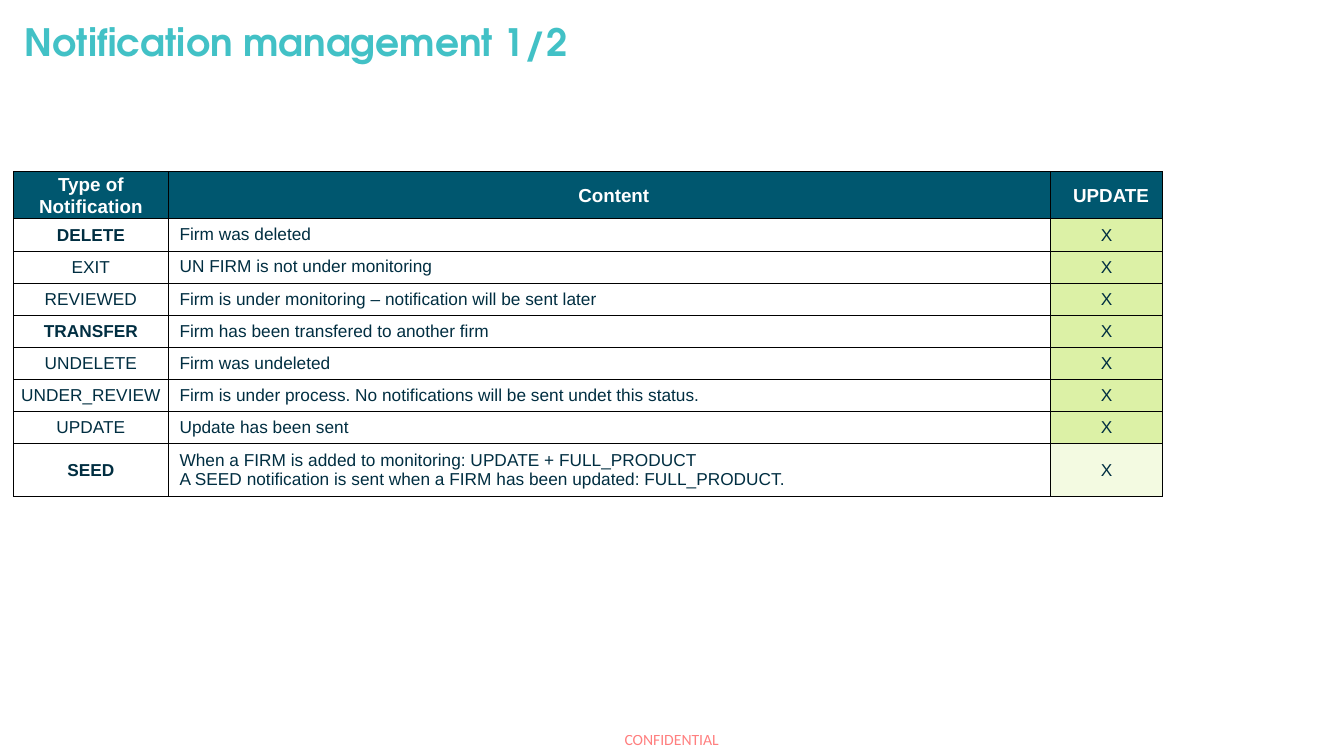
from dataclasses import dataclass

from lxml.etree import SubElement
from pptx import Presentation
from pptx.dml.color import RGBColor
from pptx.enum.text import MSO_ANCHOR, MSO_AUTO_SIZE, PP_ALIGN
from pptx.oxml import parse_xml
from pptx.oxml.ns import nsdecls, qn
from pptx.slide import Slide
from pptx.table import _Cell
from pptx.text.text import TextFrame, _Paragraph
from pptx.util import Emu, Pt

SCALE = 3048


@dataclass(frozen=True)
class Face:
    font: str
    size: int
    color: str
    bold: bool = False


@dataclass(frozen=True)
class Theme:
    title: Face = Face("TeX Gyre Adventor", 24, "42C1C6", True)
    head: Face = Face("Arial", 12, "FFFFFF", True)
    body: Face = Face("Arial", 11, "002E41")
    strong: Face = Face("Arial", 11, "002E41", True)
    footer: Face = Face("Calibri", 10, "FF0000")
    teal: str = "00576F"
    white: str = "FFFFFF"
    green: str = "DCF1A6"
    pale: str = "F3FAE1"
    border: str = "000000"


@dataclass(frozen=True)
class Notice:
    kind: str
    lines: tuple[str, ...]
    strong: bool = False
    mark: str = Theme.green
    height: int = 85


@dataclass(frozen=True)
class Pad:
    left: int
    right: int
    top: int
    bottom: int


THEME = Theme()
WIDTHS = (411, 2343, 299)
HEADS = ("Type of Notification", "Content", "UPDATE")
HEAD_HEIGHT = 125
TIGHT = Pad(3, 3, 3, 0)
INDENT = Pad(27, 3, 3, 0)
ROOMY = Pad(30, 30, 15, 15)
NOTICES = (
    Notice("DELETE", ("Firm was deleted",), True),
    Notice("EXIT", ("UN FIRM is not under monitoring",)),
    Notice("REVIEWED", ("Firm is under monitoring – notification will be sent later",)),
    Notice("TRANSFER", ("Firm has been transfered to another firm",), True),
    Notice("UNDELETE", ("Firm was undeleted",)),
    Notice(
        "UNDER_REVIEW",
        ("Firm is under process. No notifications will be sent undet this status.",),
    ),
    Notice("UPDATE", ("Update has been sent",)),
    Notice(
        "SEED",
        (
            "When a FIRM is added to monitoring: UPDATE + FULL_PRODUCT",
            "A SEED notification is sent when a FIRM has been updated: FULL_PRODUCT.",
        ),
        True,
        THEME.pale,
        141,
    ),
)


def px(count: int) -> Emu:
    return Emu(count * SCALE)


def add_text(para: _Paragraph, text: str, face: Face) -> None:
    run = para.add_run()
    run.text = text
    run.font.name = face.font
    run.font.size = Pt(face.size)
    run.font.bold = face.bold
    run.font.color.rgb = RGBColor.from_string(face.color)


def set_pad(frame: TextFrame | _Cell, pad: Pad) -> None:
    frame.margin_left, frame.margin_right = px(pad.left), px(pad.right)
    frame.margin_top, frame.margin_bottom = px(pad.top), px(pad.bottom)


def add_border(cell: _Cell) -> None:
    props = cell._tc.get_or_add_tcPr()
    for spot, side in enumerate("LRTB"):
        line = parse_xml(
            f'<a:ln{side} {nsdecls("a")} w="{Pt(0.5)}"><a:solidFill>'
            f'<a:srgbClr val="{THEME.border}"/></a:solidFill></a:ln{side}>'
        )
        props.insert(spot, line)


def fill_cell(
    cell: _Cell,
    lines: tuple[str, ...],
    face: Face,
    color: str,
    pad: Pad,
    align: PP_ALIGN = PP_ALIGN.CENTER,
) -> None:
    cell.fill.solid()
    cell.fill.fore_color.rgb = RGBColor.from_string(color)
    cell.vertical_anchor = MSO_ANCHOR.MIDDLE
    set_pad(cell, pad)
    frame = cell.text_frame
    for spot, text in enumerate(lines):
        para = frame.add_paragraph() if spot else frame.paragraphs[0]
        para.alignment = align
        add_text(para, text, face)
    add_border(cell)


def add_title(slide: Slide) -> None:
    title = slide.shapes.title
    title.left, title.top, title.width, title.height = map(px, (36, 34, 3534, 180))
    frame = title.text_frame
    frame.auto_size = MSO_AUTO_SIZE.NONE
    frame.word_wrap = True
    frame.vertical_anchor = MSO_ANCHOR.TOP
    set_pad(frame, Pad(30, 30, 30, 30))
    para = frame.paragraphs[0]
    para.alignment = PP_ALIGN.LEFT
    para.line_spacing = 0.9
    add_text(para, "Notification management 1/2", THEME.title)


def add_grid(slide: Slide) -> None:
    heights = (HEAD_HEIGHT, *(note.height for note in NOTICES))
    table = slide.shapes.add_table(
        len(heights), len(WIDTHS), px(36), px(456), px(sum(WIDTHS)), px(sum(heights))
    ).table
    table.first_row = False
    table.horz_banding = False
    for col, width in zip(table.columns, WIDTHS):
        col.width = px(width)
    for row, height in zip(table.rows, heights):
        row.height = px(height)
    for spot, text in enumerate(HEADS):
        pad = INDENT if spot else TIGHT
        fill_cell(table.cell(0, spot), (text,), THEME.head, THEME.teal, pad)
    for row, note in enumerate(NOTICES, 1):
        face = THEME.strong if note.strong else THEME.body
        fill_cell(table.cell(row, 0), (note.kind,), face, THEME.white, TIGHT)
        fill_cell(
            table.cell(row, 1), note.lines, THEME.body, THEME.white, ROOMY, PP_ALIGN.LEFT
        )
        fill_cell(table.cell(row, 2), ("X",), THEME.body, note.mark, TIGHT)


def add_footer(slide: Slide) -> None:
    box = slide.shapes.add_textbox(px(1659), px(1938), px(261), px(51))
    frame = box.text_frame
    frame.word_wrap = False
    set_pad(frame, Pad(0, 0, 0, 0))
    para = frame.paragraphs[0]
    add_text(para, "CONFIDENTIAL", THEME.footer)
    color = para.runs[0].font._element.find(".//" + qn("a:srgbClr"))
    SubElement(color, qn("a:alpha"), val="50000")


def main() -> None:
    deck = Presentation()
    deck.slide_width, deck.slide_height = px(3570), px(2007)
    slide = deck.slides.add_slide(deck.slide_layouts[5])
    add_footer(slide)
    add_title(slide)
    add_grid(slide)
    deck.save("out.pptx")


if __name__ == "__main__":
    main()
